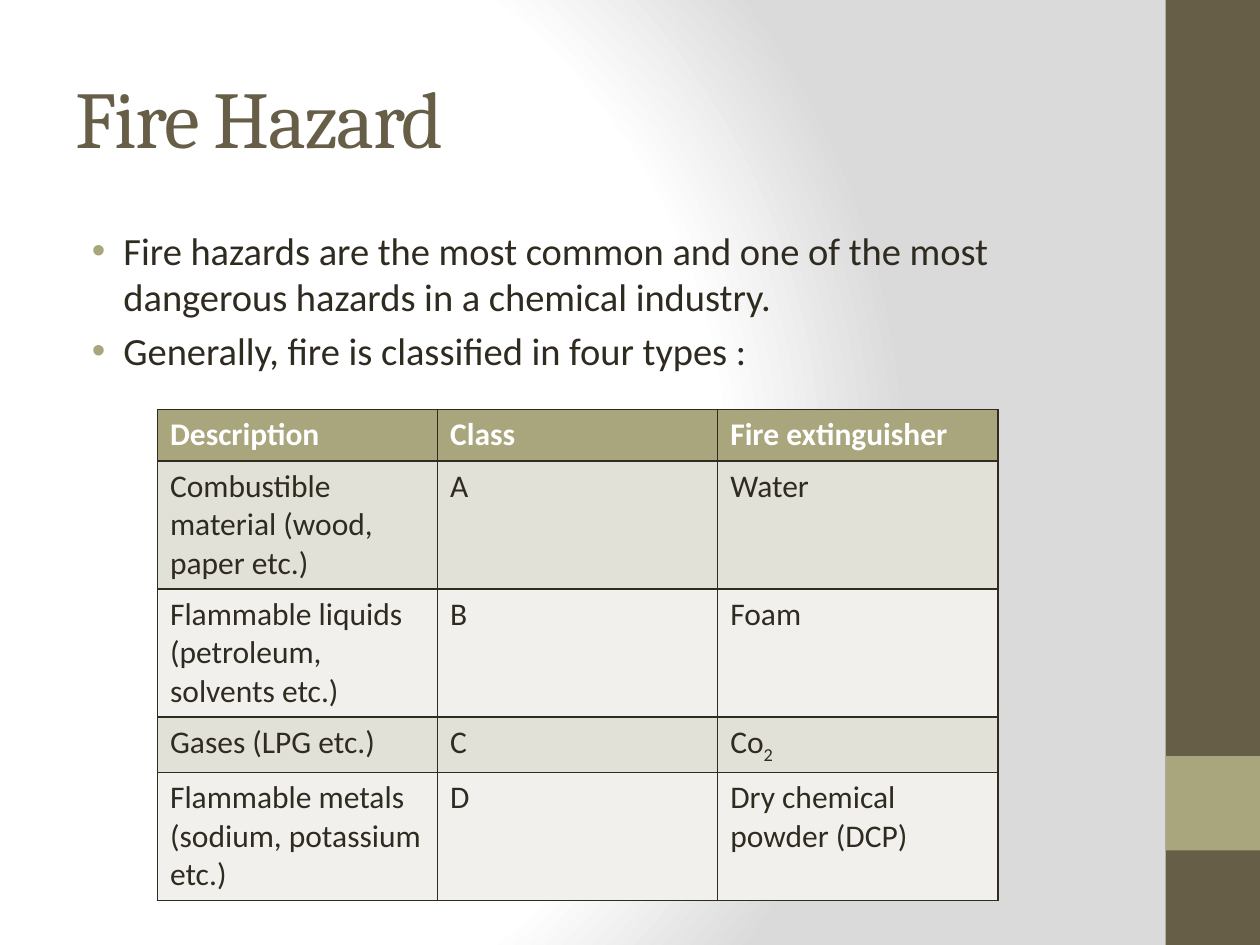
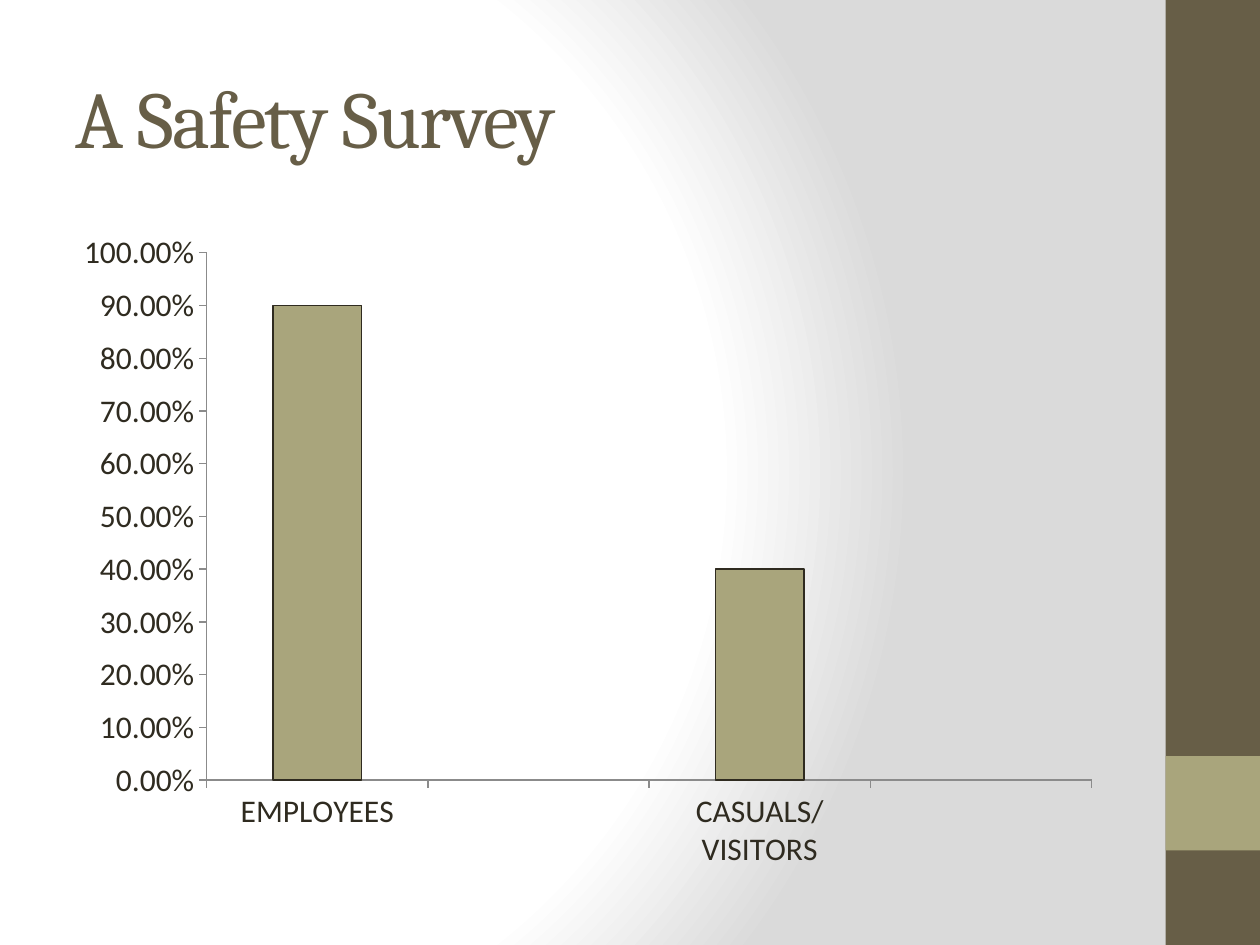
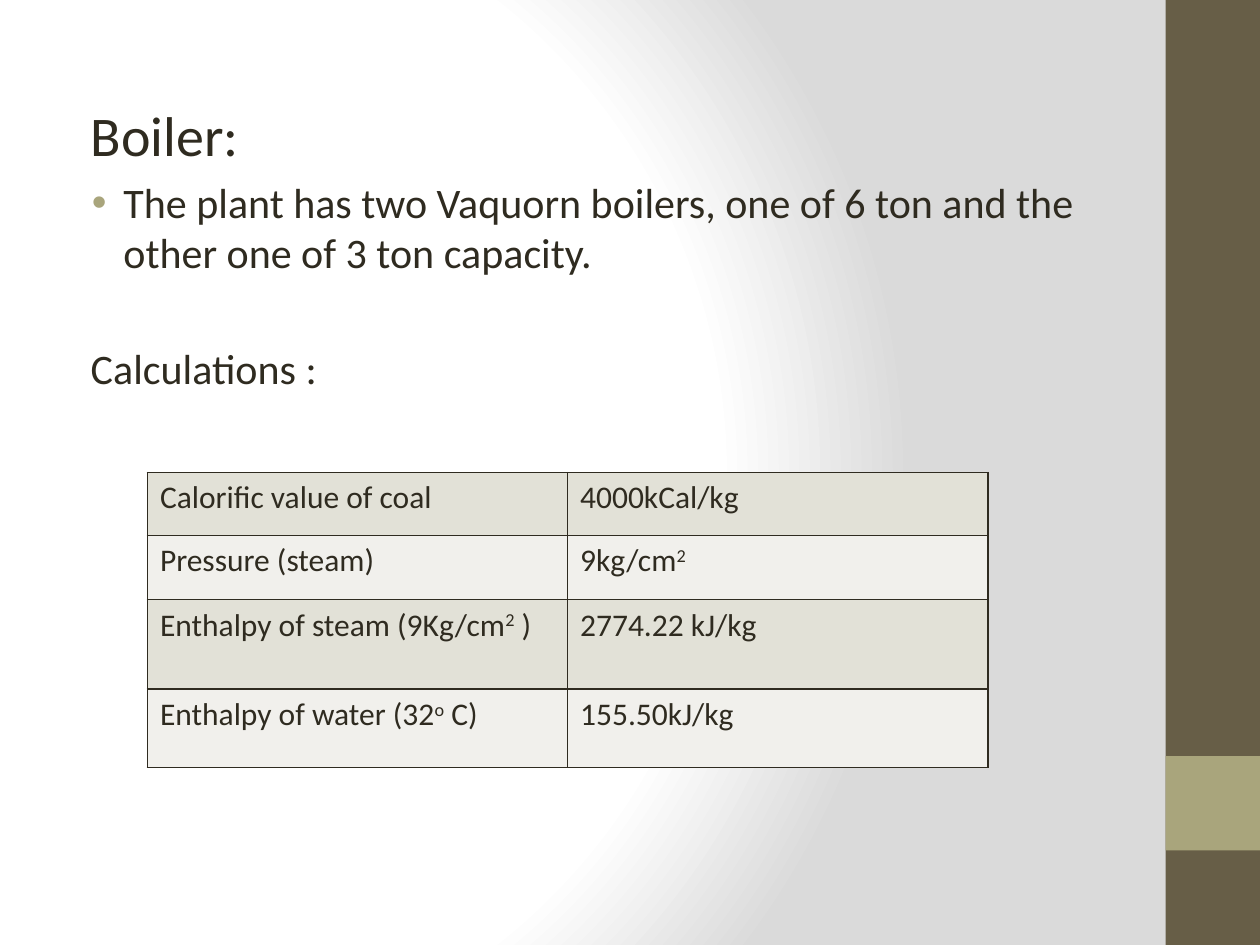
import pptx
import pptx.util
import pptx.chart.data
import pptx.dml.color
import pptx.enum.chart
import pptx.enum.shapes
import pptx.enum.text
import pptx.oxml
from pptx.oxml.ns import nsdecls, qn
from pptx.util import Inches

DARK, OLIVE, INK, WHITE = "675E47", "A9A57C", "2F2B20", "FFFFFF"
BANDS = ["E2E1D7", "F1F0EC"]
LEFT, WIDTH = Inches(0.5), Inches(8.33)


def rgb(code):
    return pptx.dml.color.RGBColor.from_string(code)


def grid(slide, left, top, width, heights, rows, head, shift):
    """Add a bordered table; text between bars is raised or lowered by shift."""
    frame = slide.shapes.add_table(len(rows), len(rows[0]), Inches(left), Inches(top),
                                   Inches(width), Inches(sum(heights)))
    table = frame.table
    table.first_row = head
    for r, row in enumerate(rows):
        table.rows[r].height = Inches(heights[r])
        top_row = head and r == 0
        for c, text in enumerate(row):
            cell = table.cell(r, c)
            cell.fill.solid()
            cell.fill.fore_color.rgb = rgb(OLIVE if top_row else BANDS[(r - head) % 2])
            for i, line in enumerate(text.split("\n")):
                para = cell.text_frame.add_paragraph() if i else cell.text_frame.paragraphs[0]
                para.font.name, para.font.size = "Calibri", pptx.util.Pt(18)
                para.font.bold = top_row
                para.font.color.rgb = rgb(WHITE if top_row else INK)
                for n, part in enumerate(line.split("|")):
                    if part:
                        run = para.add_run()
                        run.text = part
                        if n % 2:
                            run._r.get_or_add_rPr().set("baseline", str(shift * 1000))
            # Borders come before the fill in the cell properties
            props = cell._tc.get_or_add_tcPr()
            for n, side in enumerate(["lnL", "lnR", "lnT", "lnB"]):
                props.insert(n, pptx.oxml.parse_xml(
                    f'<a:{side} {nsdecls("a")} w="12700"><a:solidFill>'
                    f'<a:srgbClr val="{INK}"/></a:solidFill></a:{side}>'))


deck = pptx.Presentation()
deck.slide_width, deck.slide_height = Inches(10), Inches(7.5)
master = deck.slide_master

# Slides
fire, survey, boiler = [deck.slides.add_slide(deck.slide_layouts[n]) for n in (1, 5, 1)]

# Shared background
master.background.fill.gradient()
old = master.element.find(".//" + qn("p:bgPr")).find(qn("a:gradFill"))
stops = "".join(f'<a:gs pos="{pos}000"><a:srgbClr val="{code}"/></a:gs>'
                for pos, code in [(0, WHITE), (75, WHITE), (100, "DADADA")])
old.getparent().replace(old, pptx.oxml.parse_xml(
    f'<a:gradFill {nsdecls("a")} rotWithShape="1"><a:gsLst>{stops}</a:gsLst>'
    '<a:path path="circle"><a:fillToRect l="20000" t="50000" r="100000" b="50000"/>'
    '</a:path></a:gradFill>'))

# Shared side bands, moved to the master
for n, (top, height, code) in enumerate([(0, 7.5, DARK), (6, 0.75, OLIVE)]):
    band = fire.shapes.add_shape(pptx.enum.shapes.MSO_SHAPE.RECTANGLE, Inches(9.25),
                                 Inches(top), Inches(0.75), Inches(height))
    band.shadow.inherit = False
    band.fill.solid()
    band.fill.fore_color.rgb = rgb(code)
    band.line.fill.background()
    master.shapes.element.insert(2 + n, band.element)

# Titles
for slide, text in [(fire, "Fire Hazard"), (survey, "A Safety Survey")]:
    title = slide.shapes.title
    title.left, title.top, title.width, title.height = LEFT, Inches(0.3), WIDTH, Inches(1.25)
    title.text_frame.text = text
    title.text_frame.vertical_anchor = pptx.enum.text.MSO_ANCHOR.MIDDLE
    para = title.text_frame.paragraphs[0]
    para.alignment = pptx.enum.text.PP_ALIGN.LEFT
    para.font.name, para.font.size = "Cambria", pptx.util.Pt(46)
    para.font.color.rgb = rgb(DARK)
    para.runs[0]._r.get_or_add_rPr().set("spc", "-100")
head = boiler.shapes.title.element
head.getparent().remove(head)

# Body lists: text, size, bullet, space before
bodies = [
    (fire, 1.75, 5.25, [
        ("Fire hazards are the most common and one of the most dangerous hazards "
         "in a chemical industry.", 22, True, None),
        ("Generally, fire is classified in four types :", 22, True, None)]),
    (boiler, 0.75, 6.25, [
        ("Boiler:", 32, False, None),
        ("The plant has two Vaquorn boilers, one of 6 ton and the other one "
         "of 3 ton capacity.", 24, True, None),
        ("Calculations :", 24, False, 37.5)]),
]
for slide, top, height, lines in bodies:
    body = slide.placeholders[1]
    body.left, body.top, body.width, body.height = LEFT, Inches(top), WIDTH, Inches(height)
    frame = body.text_frame
    frame.auto_size = pptx.enum.text.MSO_AUTO_SIZE.NONE
    for n, (text, size, dot, gap) in enumerate(lines):
        para = frame.add_paragraph() if n else frame.paragraphs[0]
        para.text = text
        if gap:
            para.space_before = pptx.util.Pt(gap)
        props = para._p.get_or_add_pPr()
        props.set("marL", str(Inches(0.38 if dot else 0.12)))
        props.set("indent", str(Inches(-0.25 if dot else 0)))
        marks = ([f'<a:buClr {nsdecls("a")}><a:srgbClr val="{OLIVE}"/></a:buClr>',
                  f'<a:buFont {nsdecls("a")} typeface="Arial"/>',
                  f'<a:buChar {nsdecls("a")} char="•"/>']
                 if dot else [f'<a:buNone {nsdecls("a")}/>'])
        for mark in marks:
            props.append(pptx.oxml.parse_xml(mark))
        para.font.name, para.font.size = "Calibri", pptx.util.Pt(size)
        para.font.color.rgb = rgb(INK)

# Fire classes
grid(fire, 1.25, 3.25, 6.67, [0.41] * 5, [
    ("Description", "Class", "Fire extinguisher"),
    ("Combustible material (wood, paper etc.)", "A", "Water"),
    ("Flammable liquids (petroleum, solvents etc.)", "B", "Foam"),
    ("Gases (LPG etc.)", "C", "Co|2|"),
    ("Flammable metals\n(sodium, potassium etc.)", "D", "Dry chemical powder (DCP)"),
], True, -25)

# Boiler figures
grid(boiler, 1.17, 3.75, 6.67, [0.5, 0.51, 0.71, 0.62], [
    ("Calorific value of coal", "4000kCal/kg"),
    ("Pressure (steam)", "9kg/cm|2|"),
    ("Enthalpy of steam (9Kg/cm|2| )", "2774.22 kJ/kg"),
    ("Enthalpy of water (32|o| C)", "155.50kJ/kg"),
], False, 30)

# Survey chart
data = pptx.chart.data.CategoryChartData(number_format="0.00%")
data.categories = ["EMPLOYEES", "", "CASUALS/VISITORS", ""]
data.add_series("Series 1", [0.9, None, 0.4, None])
data.add_series("Series 2", [None] * 4)
data.add_series("Series 3", [None] * 4)
chart = survey.shapes.add_chart(pptx.enum.chart.XL_CHART_TYPE.COLUMN_STACKED, LEFT,
                                Inches(1.75), WIDTH, Inches(5.25), data).chart
chart.has_legend = chart.has_title = False
chart.font.name, chart.font.size = "Calibri", pptx.util.Pt(18)
chart.font.color.rgb = rgb(INK)
plot = chart.plots[0]
plot.gap_width, plot.overlap, plot.vary_by_categories = 150, 100, False
for bars, code in zip(plot.series, [OLIVE, "9CBEBD", "D2CB6C"]):
    bars.format.fill.solid()
    bars.format.fill.fore_color.rgb = rgb(code)
edge = plot.series[0].format.line
edge.color.rgb, edge.width = rgb(INK), pptx.util.Pt(0.75)
for axis in (chart.category_axis, chart.value_axis):
    axis.has_major_gridlines = False
    axis.major_tick_mark = pptx.enum.chart.XL_TICK_MARK.OUTSIDE
    axis.format.line.color.rgb = rgb("8B8B8B")
    axis.format.line.width = pptx.util.Pt(0.75)
scale = chart.value_axis
scale.minimum_scale, scale.maximum_scale, scale.major_unit = 0, 1, 0.1
scale.tick_labels.number_format = "0.00%"
scale.tick_labels.number_format_is_linked = False

deck.save("out.pptx")
